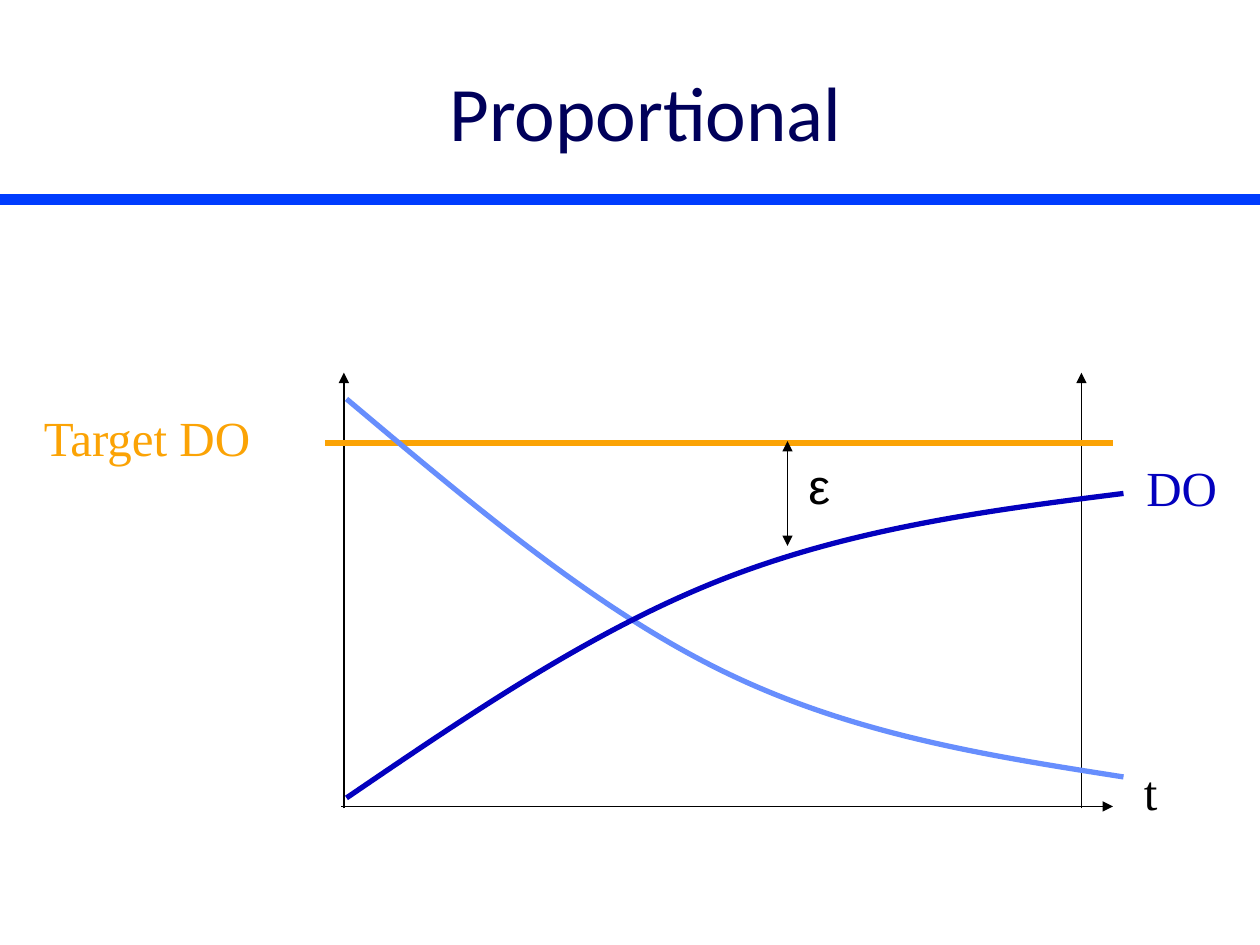
from dataclasses import dataclass
from typing import NamedTuple

from lxml.etree import SubElement
from pptx import Presentation
from pptx.dml.color import RGBColor
from pptx.enum.shapes import MSO_CONNECTOR
from pptx.enum.text import MSO_ANCHOR, PP_ALIGN
from pptx.oxml.ns import qn
from pptx.util import Inches, Pt

UNIT = Inches(1) // 12  # the slide is a grid of 120 columns by 90 rows


@dataclass(frozen=True)
class Theme:
    title: str = "00005A"
    rule: str = "003CFE"
    ink: str = "000000"
    target: str = "FBA305"
    falling: str = "678EFD"
    oxygen: str = "0300BE"
    title_size: int = 44
    label_size: int = 28
    title_font: str = "Calibri"
    label_font: str = "Times New Roman"
    symbol_font: str = "Arial"
    thin: int = 1
    curve: int = 3
    band: int = 6


THEME = Theme()
Point = tuple[float, float]


class Line(NamedTuple):
    start: Point
    end: Point
    color: str = THEME.ink
    width: int = THEME.thin
    arrows: tuple[str, ...] = ()


class Curve(NamedTuple):
    points: list[Point]  # start, then two controls and an end per segment
    color: str


class Label(NamedTuple):
    text: str
    box: tuple[float, float, float, float]
    color: str
    font: str = THEME.label_font
    size: int = THEME.label_size
    wrap: bool = False
    align: PP_ALIGN = PP_ALIGN.LEFT
    anchor: MSO_ANCHOR = MSO_ANCHOR.TOP


END, BOTH = ("tailEnd",), ("headEnd", "tailEnd")
AXIS_TOP, AXIS_FOOT = 35.5, 77

LINES = [
    Line((0, 19), (120, 19), THEME.rule, THEME.band),
    *(Line((x, AXIS_FOOT), (x, AXIS_TOP), arrows=END) for x in (32.75, 103)),
    Line((32.5, 76.8), (106, 76.8), arrows=END),
    Line((31, 42.2), (106, 42.2), THEME.target, THEME.curve),
    Line((75, 52), (75, 42), arrows=BOTH),
]
COLUMNS = (33, 44.9, 56.65, 69, 81.35, 94.2, 107)
CURVES = [
    Curve(list(zip(COLUMNS, (38, 48, 58, 64, 70, 72, 74))), THEME.falling),
    Curve(list(zip(COLUMNS, (76, 67.9, 59.9, 55.1, 50.3, 48.6, 47))), THEME.oxygen),
]
LABELS = [
    Label("Proportional", (6, 3, 111, 15), THEME.title, THEME.title_font,
          THEME.title_size, True, PP_ALIGN.CENTER, MSO_ANCHOR.MIDDLE),
    Label("Target DO", (3, 38.2, 22.6, 6.8), THEME.target),
    Label("t", (107.75, 71.9, 3.7, 6.8), THEME.ink),
    Label("DO", (108, 43, 9.1, 6.8), THEME.oxygen),
    Label("ε", (75.8, 42.8, 4.4, 6.8), THEME.ink, THEME.symbol_font),
]


def grid(*values: float) -> list[int]:
    return [round(v * UNIT) for v in values]


def style_line(sp, color: str, width: int) -> None:
    sp.line.color.rgb = RGBColor.from_string(color)
    sp.line.width = Pt(width)


def draw_line(s, line: Line) -> None:
    sp = s.shapes.add_connector(
        MSO_CONNECTOR.STRAIGHT, *grid(*line.start, *line.end))
    style_line(sp, line.color, line.width)
    for arrow in line.arrows:
        SubElement(sp.line._get_or_add_ln(), qn(f"a:{arrow}"), type="triangle")
    SubElement(sp._element.spPr, qn("a:effectLst"))


def draw_curve(s, curve: Curve) -> None:
    """Lay out a polygon of control points and turn each three into a Bézier."""
    points = [tuple(grid(*pt)) for pt in curve.points]
    builder = s.shapes.build_freeform(*points[0])
    builder.add_line_segments(points[1:], close=False)
    sp = builder.convert_to_shape()
    sp.shadow.inherit = False
    sp.fill.background()
    style_line(sp, curve.color, curve.width if hasattr(curve, "width") else THEME.curve)
    path = next(sp._element.iter(qn("a:path")))
    steps = path.findall(qn("a:lnTo"))
    for i in range(0, len(steps), 3):
        bezier = SubElement(path, qn("a:cubicBezTo"))
        for step in steps[i:i + 3]:
            bezier.append(step[0])
            path.remove(step)


def draw_label(s, label: Label) -> None:
    tf = s.shapes.add_textbox(*grid(*label.box)).text_frame
    tf.word_wrap = label.wrap
    tf.vertical_anchor = label.anchor
    p = tf.paragraphs[0]
    p.alignment = label.align
    r = p.add_run()
    r.text = label.text
    for name, value in {"name": label.font, "size": Pt(label.size)}.items():
        setattr(r.font, name, value)
    r.font.color.rgb = RGBColor.from_string(label.color)


def main() -> None:
    prs = Presentation()
    prs.slide_width, prs.slide_height = grid(120, 90)
    s = prs.slides.add_slide(prs.slide_layouts[6])
    for line in LINES:
        draw_line(s, line)
    for curve in CURVES:
        draw_curve(s, curve)
    for label in LABELS:
        draw_label(s, label)
    prs.save("out.pptx")


if __name__ == "__main__":
    main()
